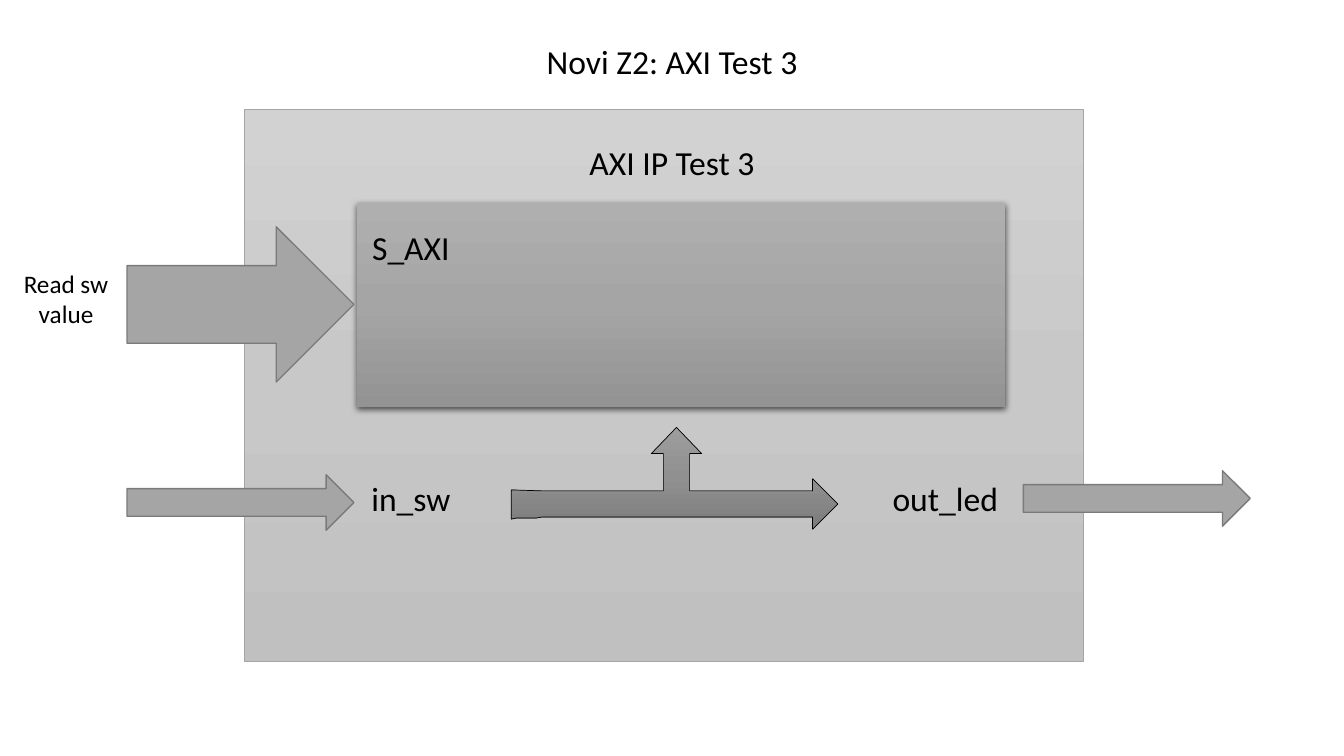
from copy import deepcopy
from dataclasses import dataclass

from lxml import etree
from pptx import Presentation
from pptx import util as u
from pptx.dml.color import RGBColor
from pptx.enum import shapes, text
from pptx.oxml.ns import qn


@dataclass(frozen=True)
class Theme:
    font: str = "Calibri"
    label: int = 24
    note: int = 18
    ink: str = "000000"
    arrow: str = "A5A5A5"
    arrow_edge: str = "7A7A7A"
    block_edge: str = "A5A5A5"
    block: tuple = ("D2D2D2", "C8C8C8", "C0C0C0")
    port: tuple = ("AFAFAF", "A5A5A5", "939393")
    signal: tuple = ("9D9D9D", "909090", "7C7C7C")


class Diagram:
    def __init__(self, slide, theme):
        self.slide = slide
        self.theme = theme

    def paint(self, sp, fill, edge=None, weight=1):
        sp.shadow.inherit = False
        if isinstance(fill, tuple):
            self.gradient(sp, fill)
        else:
            sp.fill.solid()
            sp.fill.fore_color.rgb = RGBColor.from_string(fill)
        if edge:
            sp.line.color.rgb = RGBColor.from_string(edge)
            sp.line.width = u.Pt(weight)
        else:
            sp.line.fill.background()
        return sp

    def gradient(self, sp, colors):
        sp.fill.gradient()
        sp.fill.gradient_angle = 270
        stops = sp._element.spPr.find(qn("a:gradFill")).find(qn("a:gsLst"))
        stops.insert(1, deepcopy(stops[0]))
        for i, (stop, color) in enumerate(zip(sp.fill.gradient_stops, colors)):
            stop.position = i / 2
            stop.color.rgb = RGBColor.from_string(color)

    def shape(self, kind, box, fill, edge=None, weight=1):
        sp = self.slide.shapes.add_shape(kind, *map(u.Inches, box))
        return self.paint(sp, fill, edge, weight)

    def arrow(self, x, y, height):
        t = self.theme
        self.shape(shapes.MSO_SHAPE.RIGHT_ARROW, (x, y, 2.25, height), t.arrow, t.arrow_edge)

    def cast_shadow(self, sp):
        effects = sp._element.spPr.find(qn("a:effectLst"))
        shadow = etree.SubElement(effects, qn("a:outerShdw"), blurRad=str(u.Pt(4.5)),
                                  dist=str(u.Pt(1.5)), dir="5400000", algn="ctr", rotWithShape="0")
        color = etree.SubElement(shadow, qn("a:srgbClr"), val=self.theme.ink)
        etree.SubElement(color, qn("a:alpha"), val="63000")

    def outline(self, points, fill, edge, weight):
        start, *rest = [(u.Inches(x), u.Inches(y)) for x, y in points]
        builder = self.slide.shapes.build_freeform(*start, scale=1.0)
        builder.add_line_segments(rest, close=True)
        return self.paint(builder.convert_to_shape(), fill, edge, weight)

    def text(self, words, box, size):
        tf = self.slide.shapes.add_textbox(*map(u.Inches, box)).text_frame
        tf.word_wrap = True
        p = tf.paragraphs[0]
        p.alignment = text.PP_ALIGN.CENTER
        r = p.add_run()
        r.text = words
        r.font.name = self.theme.font
        r.font.size = u.Pt(size)
        r.font.color.rgb = RGBColor.from_string(self.theme.ink)
        return p

    def label(self, words, x, y):
        p = self.text(words, (x, y, 3.15, 0.45), self.theme.label)
        p.line_spacing = 0.8
        p.space_before = u.Pt(10)


prs = Presentation()
prs.slide_width, prs.slide_height = u.Inches(13.33), u.Inches(7.5)
theme = Theme()
d = Diagram(prs.slides.add_slide(prs.slide_layouts[6]), theme)
rect = shapes.MSO_SHAPE.RECTANGLE

d.label("Novi Z2: AXI Test 3", 5.09, 0.43)
d.shape(rect, (2.42, 1.09, 8.33, 5.47), theme.block, theme.block_edge, 0.5)
d.cast_shadow(d.shape(rect, (3.54, 2.01, 6.43, 2.03), theme.port))

for words, x, y in [("AXI IP Test 3", 5.09, 1.44), ("S_AXI", 2.5, 2.28),
                    ("in_sw", 2.5, 4.77), ("out_led", 7.8, 4.77)]:
    d.label(words, x, y)

d.arrow(1.26, 2.25, 1.54)
d.arrow(1.26, 4.71, 0.55)

tail = [(5.37, 5.13), (5.32, 5.14), (5.12, 5.14), (5.07, 5.15), (5.07, 4.86), (5.37, 4.87)]
up_head = [(6.58, 4.87), (6.58, 4.5), (6.46, 4.5), (6.71, 4.24),
           (6.96, 4.5), (6.84, 4.5), (6.84, 4.87)]
right_head = [(8.06, 4.87), (8.06, 4.75), (8.31, 5), (8.06, 5.25), (8.06, 5.13)]
d.outline(tail + up_head + right_head, theme.signal, theme.ink, 0.5)

d.arrow(10.15, 4.67, 0.55)
d.text("Read sw value", (0, 2.61, 1.31, 0.71), theme.note)

prs.save("out.pptx")
